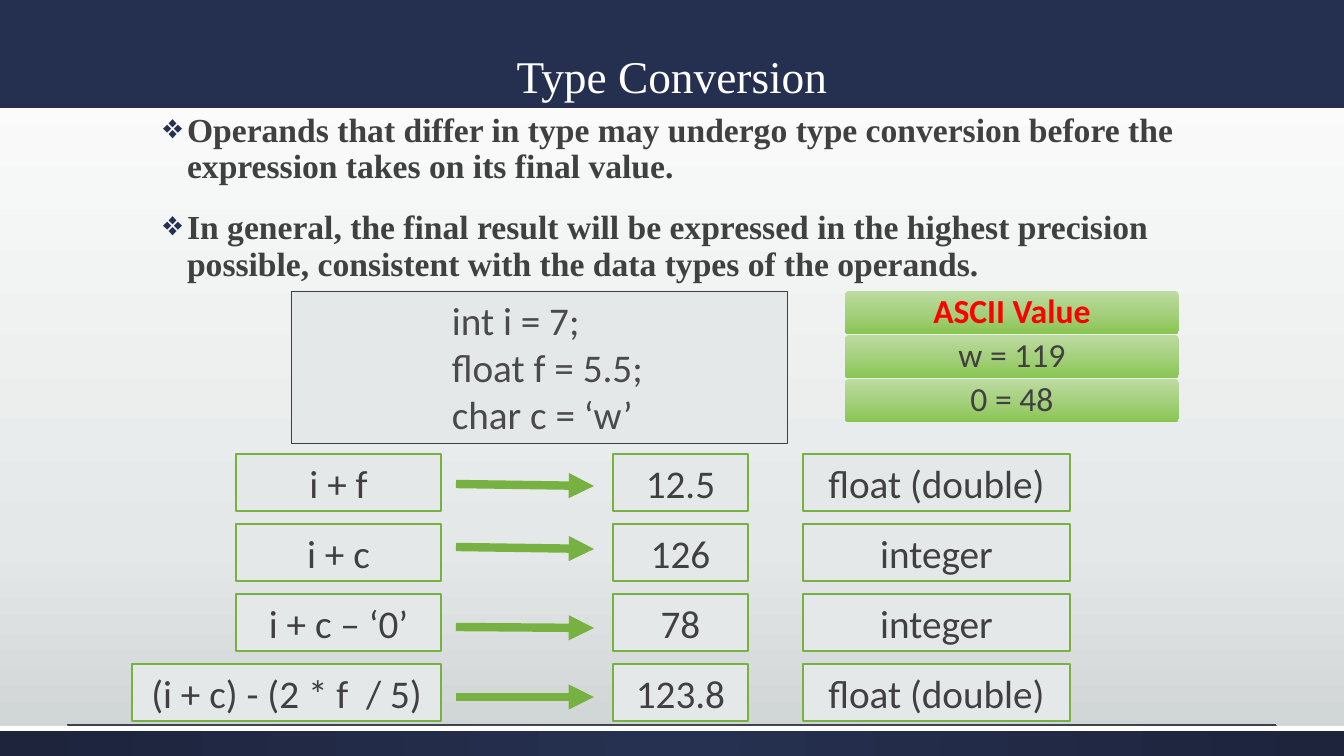
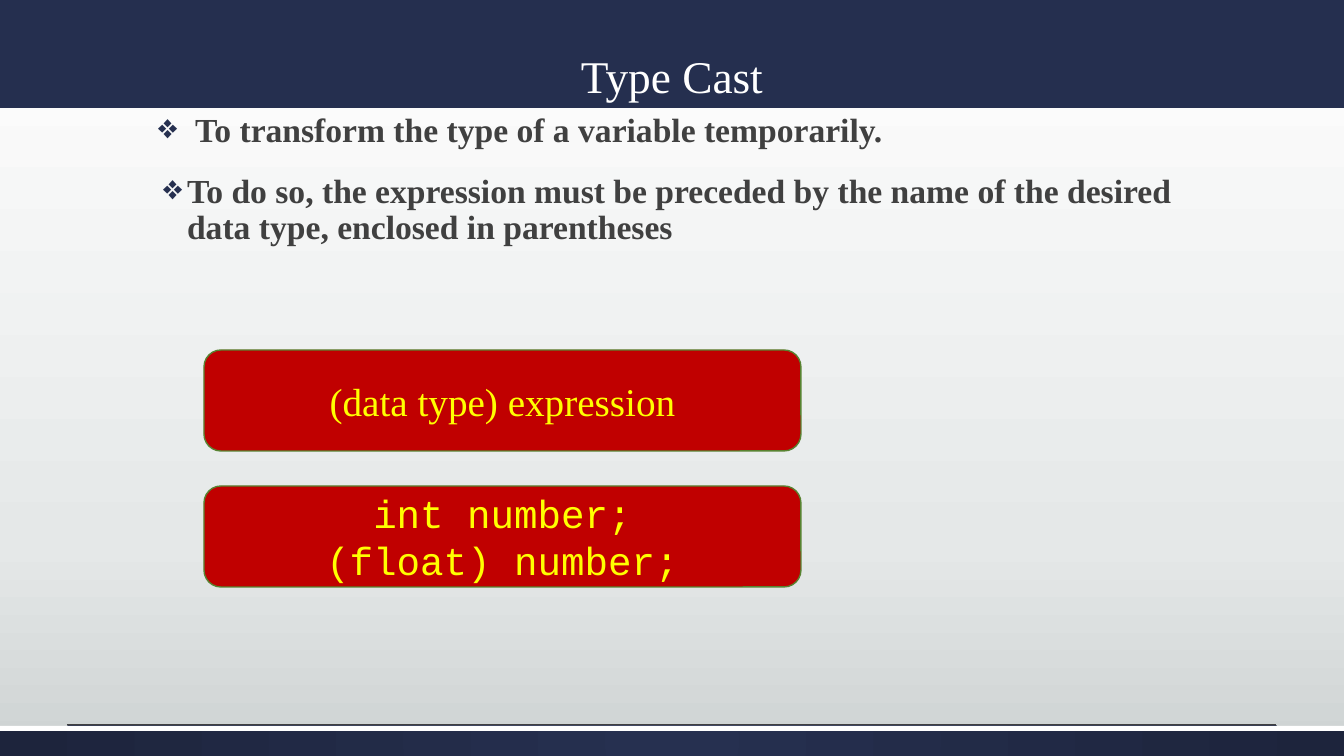
from dataclasses import dataclass

from lxml import etree
from pptx import Presentation
from pptx.dml.color import RGBColor
from pptx.enum.shapes import MSO_CONNECTOR, MSO_SHAPE
from pptx.enum.text import MSO_ANCHOR, MSO_AUTO_SIZE, PP_ALIGN
from pptx.oxml.ns import qn
from pptx.util import Emu, Pt

RECT, ROUND = MSO_SHAPE.RECTANGLE, MSO_SHAPE.ROUNDED_RECTANGLE
LEFT, MID = PP_ALIGN.LEFT, PP_ALIGN.CENTER
CENTRE, BOTTOM, TOP = MSO_ANCHOR.MIDDLE, MSO_ANCHOR.BOTTOM, MSO_ANCHOR.TOP

# Content: body points are (text, left indent px, hanging indent px)
CONV = {
    "title": "Type Conversion",
    "points": [
        ("Operands that differ in type may undergo type conversion before the "
         "expression takes on its final value.", 30, 25),
        ("In general, the final result will be expressed in the highest "
         "precision possible, consistent with the data types of the operands.",
         30, 25),
    ],
}
CAST = {
    "title": "Type Cast",
    "points": [
        ("To transform the type of a variable temporarily.", 38, 38),
        ("To do so, the expression must be preceded by the name of the desired "
         "data type, enclosed in parentheses", 30, 25),
    ],
}
CODE = ["int i = 7;", "float f = 5.5;", "char c = ‘w’"]
ASCII = ["ASCII Value", "w = 119", "0 = 48"]
# expression, its box width, value, type, arrow start and end heights
SUMS = [
    ("i + f", 205, "12.5", "float (double)", 484, 486),
    ("i + c", 205, "126", "integer", 547, 549),
    ("i + c – ‘0’", 205, "78", "integer", 627, 628),
    ("(i + c) - (2 * f  / 5)", 309, "123.8", "float (double)", 697, 697),
]


@dataclass(frozen=True)
class Theme:
    navy: str = "252F4F"
    mark: str = "263050"
    deep: str = "1D243C"
    white: str = "FFFFFF"
    ink: str = "404040"
    code: str = "4A4A4A"
    pale: str = "E5E8E8"
    mist: str = "CDD2D2"
    green: str = "77B142"
    moss: str = "588331"
    crimson: str = "C00000"
    red: str = "FF0000"
    yellow: str = "FFFF00"
    leaf: tuple = ((0, "BDDCA1"), (50, "A5D07D"), (100, "89C552"))
    serif: str = "Times New Roman"
    sans: str = "Calibri"
    mono: str = "Courier New"
    head: float = 32.4
    body: int = 24
    big: int = 28


T = Theme()
WIDE, HIGH = 1344, 756
BAND = 108


def px(n):
    return Emu(round(n * 12192000 / WIDE))


def rgb(hue):
    return RGBColor.from_string(hue)


def put(item, vals):
    for key, val in vals.items():
        setattr(item, key, val)


def place(item, box):
    put(item, dict(zip(("left", "top", "width", "height"), map(px, box))))


def node(root, tag, **vals):
    return etree.SubElement(root, qn(tag), {k: str(v) for k, v in vals.items()})


def blend(fill, root, stops, radial=False):
    """Fill with colour stops, downwards or outwards from the centre."""
    fill.gradient()
    grad = next(root.iter(qn("a:gradFill")))
    for old in list(grad):
        grad.remove(old)
    steps = node(grad, "a:gsLst")
    for pos, hue in stops:
        node(node(steps, "a:gs", pos=pos * 1000), "a:srgbClr", val=hue)
    if radial:
        ring = node(grad, "a:path", path="circle")
        node(ring, "a:fillToRect", l=50000, t=50000, r=50000, b=50000)
    else:
        node(grad, "a:lin", ang=5400000, scaled=0)


def paint(shape, hue):
    shape.fill.solid()
    shape.fill.fore_color.rgb = rgb(hue)


def block(slide, kind, box, fill, edge=None, thick=1):
    shape = slide.shapes.add_shape(kind, *map(px, box))
    shape.shadow.inherit = False
    if isinstance(fill, str):
        paint(shape, fill)
    else:
        blend(shape.fill, shape._element.spPr, fill)
    if edge:
        shape.line.color.rgb = rgb(edge)
        shape.line.width = Pt(thick)
    else:
        shape.line.fill.background()
    return shape


def rule(slide, ends, hue, thick, arrow=False):
    line = slide.shapes.add_connector(MSO_CONNECTOR.STRAIGHT, *map(px, ends))
    line.line.color.rgb = rgb(hue)
    line.line.width = Pt(thick)
    if arrow:
        node(line.line._get_or_add_ln(), "a:tailEnd", type="triangle")
    node(line._element.spPr, "a:effectLst")
    return line


def indent(para, left, hang=0):
    props = para._p.get_or_add_pPr()
    props.set("marL", str(px(left)))
    props.set("indent", str(-px(hang)))
    return props


def write(shape, lines, face, size, hue, bold=False, align=MID, anchor=CENTRE,
          pad=None, **form):
    """Set one paragraph per line; form holds paragraph format values."""
    frame = shape.text_frame
    put(frame, {"word_wrap": True, "auto_size": MSO_AUTO_SIZE.NONE,
                "vertical_anchor": anchor})
    if pad is not None:
        put(frame, {f"margin_{s}": px(pad)
                    for s in ("left", "top", "right", "bottom")})
    for i, line in enumerate(lines):
        para = frame.add_paragraph() if i else frame.paragraphs[0]
        put(para, {"alignment": align, "space_before": Pt(0), **form})
        run = para.add_run()
        run.text = line
        put(run.font, {"name": face, "size": Pt(size), "bold": bold})
        run.font.color.rgb = rgb(hue)
    return frame.paragraphs


def page(deck, title, points):
    slide = deck.slides.add_slide(deck.slide_layouts[1])
    head, body = slide.placeholders
    place(head, (0, 0, WIDE, BAND))
    paint(head, T.navy)
    write(head, [title], T.serif, T.head, T.white, anchor=BOTTOM)
    place(body, (147, BAND, 1048, 622))
    paras = write(body, [p[0] for p in points], T.serif, T.body, T.ink, True,
                  LEFT, TOP, line_spacing=0.9)
    for i, (para, (_, left, hang)) in enumerate(zip(paras, points)):
        para.space_before = Pt(18 if i else 0)
        props = indent(para, left, hang)
        node(node(props, "a:buClr"), "a:srgbClr", val=T.mark)
        node(props, "a:buSzPct", val=80000)
        node(props, "a:buFont", typeface=T.serif)
        node(props, "a:buChar", char="❖")
    return slide


def dress(deck, slide):
    """Set the master background and move the foot bands into the layout."""
    master = deck.slide_master
    blend(master.background.fill, master._element,
          ((0, T.white), (72, T.pale), (100, T.mist)))
    foot = block(slide, RECT, (0, 726, WIDE, 30), T.navy)
    blend(foot.fill, foot._element.spPr, ((0, T.mark), (100, T.deep)), True)
    strip = block(slide, RECT, (0, 726, WIDE, 5), T.white)
    line = rule(slide, (67, 725, 1276, 725), T.ink, 0.75)
    tree = slide.slide_layout.shapes._spTree
    for num, part in enumerate((foot, strip, line), 20):
        part._element.xpath(".//p:cNvPr")[0].set("id", str(num))
        tree.append(part._element)


def convert(slide):
    top, step, tall = 454, 70, 57
    for i, (expr, wide, value, kind, start, end) in enumerate(SUMS):
        y = top + i * step
        for x, w, text in ((441 - wide, wide, expr), (613, 135, value),
                           (803, 267, kind)):
            cell = block(slide, RECT, (x, y, w, tall), T.pale, T.green)
            write(cell, [text], T.sans, T.big, T.ink)
        rule(slide, (456, start, 594, end), T.green, 6, True)

    box = block(slide, RECT, (291, 291, 496, 152), T.pale, T.ink, 0.5)
    for para in write(box, CODE, T.sans, T.big, T.code, align=LEFT):
        indent(para, 151)

    for i, text in enumerate(ASCII):
        bar = block(slide, ROUND, (845, 291 + i * 44, 334, 43), T.leaf)
        bar.adjustments[0] = 0.1
        write(bar, [text], T.sans, T.body, T.ink if i else T.red, not i,
              pad=0, line_spacing=0.9)


def cast(slide):
    for y, face, lines in ((350, T.serif, ["(data type) expression"]),
                           (486, T.mono, ["int number;", "(float) number;"])):
        card = block(slide, ROUND, (204, y, 597, 101), T.crimson, T.moss)
        write(card, lines, face, T.big, T.yellow)


def main():
    deck = Presentation()
    put(deck, {"slide_width": px(WIDE), "slide_height": px(HIGH)})
    first = page(deck, **CONV)
    dress(deck, first)
    convert(first)
    cast(page(deck, **CAST))
    deck.save("out.pptx")


if __name__ == "__main__":
    main()
